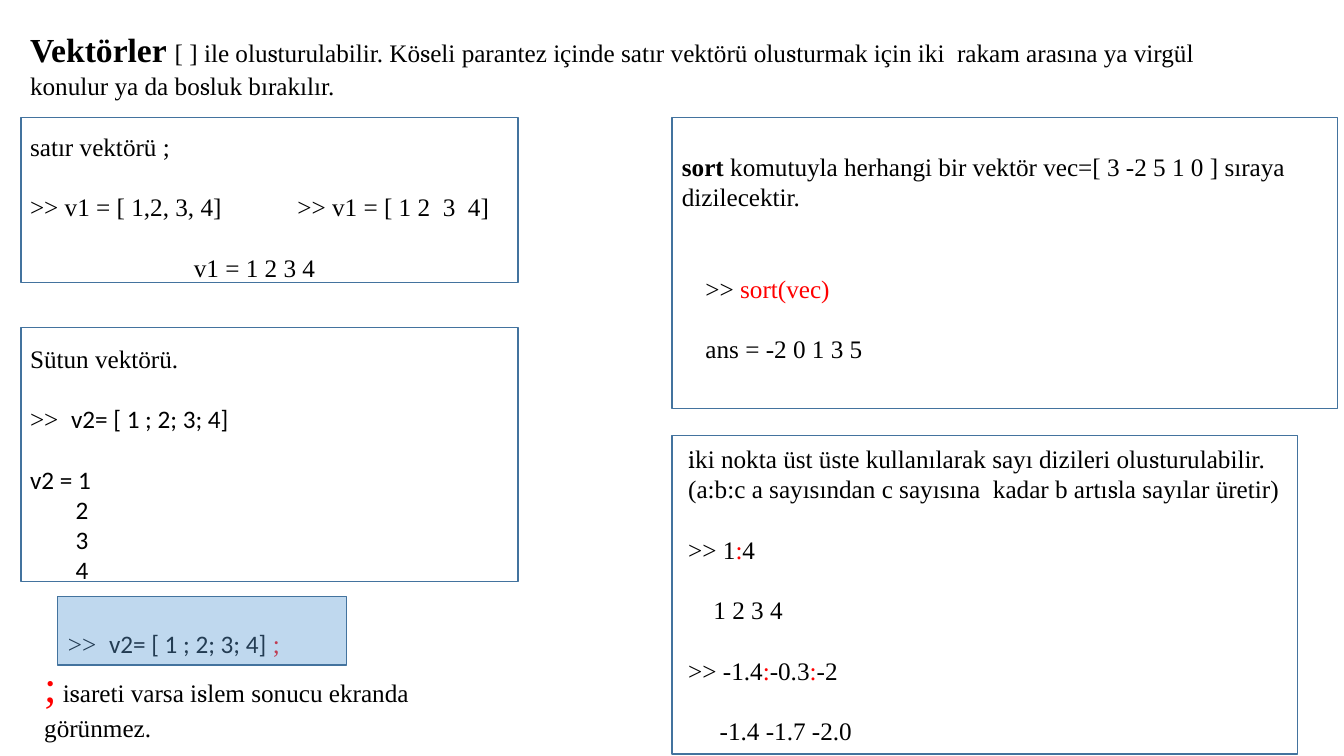
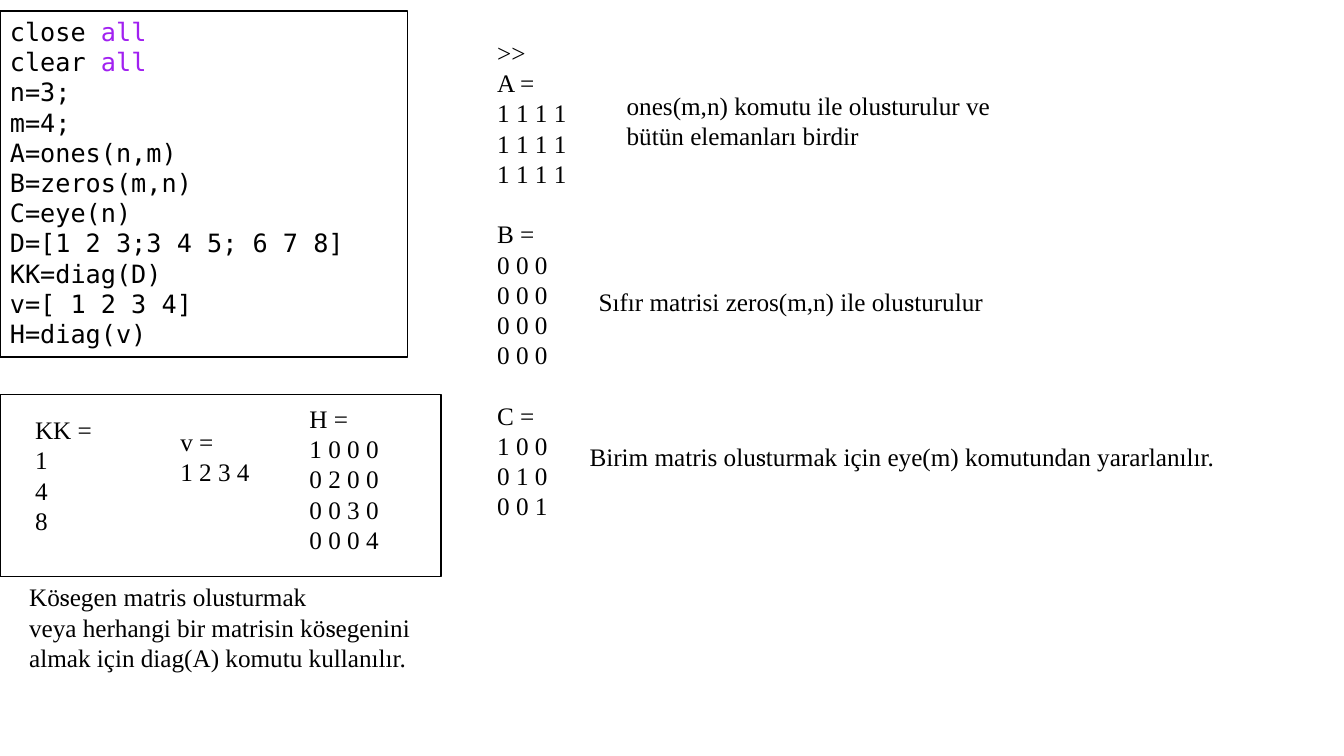
from collections import namedtuple

from lxml.etree import SubElement
from pptx import Presentation
from pptx.dml.color import RGBColor
from pptx.enum.shapes import MSO_SHAPE as Shape
from pptx.enum.text import MSO_ANCHOR as Anchor, PP_ALIGN as Align
from pptx.oxml.ns import qn
from pptx.util import Pt

SERIF, MONO = "Times New Roman", "DejaVu Sans Mono"
BLACK, WHITE, RED, PURPLE = "000000", "FFFFFF", "FF0000", "A120F1"
BLUE, STEEL = "5B9BD5", "43739E"
SIZE = 18
LINE = 21.6
GAP = LINE

# Marked spans are written |key:text| and take these settings.
STYLES = {
    "t": {"bold": True, "size": 24},
    "b": {"bold": True},
    "c": {"name": "Cambria"},
    "f": {"name": "Calibri"},
    "r": {"color": RED},
    "R": {"color": RED, "size": 32},
    "p": {"color": PURPLE},
}

Line = namedtuple("Line", "text gap indent pitch tab", defaults=(0, 0, LINE, None))
Text = namedtuple("Text", "left top width height lines")
Frame = namedtuple("Frame", "left top width height line fill alpha lines font",
                   defaults=(STEEL, None, None, (), SERIF))

VECTORS = [
    Text(14.4, 22.6, 895, 466, [
        Line("|t:Vektörler |[ ] ile olu|c:s|turulabilir. Kö|c:s|eli parantez içinde satır "
             "vektörü olu|c:s|turmak için iki  rakam arasına ya virgül konulur ya da "
             "bo|c:s|luk bırakılır.", pitch=23),
        Line("satır vektörü ;", GAP),
        Line(">> v1 = [ 1,2, 3, 4]\t>> v1 = [ 1 2  3  4]", GAP, tab=191),
        Line("v1 = 1 2 3 4", GAP, 117),
        Line("Sütun vektörü.", 2 * GAP),
        Line(">>  |f:v2= [ 1 ; 2; 3; 4]|", GAP),
        Line("|f:v2 = 1|", GAP),
        *[Line(f"|f:{value}|", indent=32.5) for value in (2, 3, 4)],
    ]),
    Frame(15, 84, 355, 118),
    Frame(15, 234, 355, 181.5),
    Text(480, 104.4, 480, 51, [
        "|b:sort |komutuyla herhangi bir vektör vec=[ 3 -2 5 1 0 ] sıraya dizilecektir.",
    ]),
    Text(496.8, 191.5, 176, 73, [
        ">> |r:sort(vec)|",
        Line("ans = -2 0 1 3 5", GAP),
    ]),
    Frame(480, 84, 475.5, 208),
    Text(484.5, 313.2, 480, 225, [
        "|c:i|ki nokta üst üste kullanılarak sayı dizileri olu|c:s|turulabilir.",
        "(a:b:c a sayısından c sayısına  kadar b artı|c:s|la sayılar üretir)",
        Line(">> 1|r::|4", GAP),
        Line("1 2 3 4", GAP, 18),
        Line(">> -1.4|r::|-0.3|r::|-2", GAP),
        Line("-1.4 -1.7 -2.0", GAP, 22.5),
    ]),
    Frame(480, 311, 447, 227.5),
    Text(41.5, 445, 188, 73, [">>  |f:v2= [ 1 ; 2; 3; 4]||r: ;|"]),
    Frame(41, 426, 206.5, 49, fill=BLUE, alpha=39),
    Text(24.5, 466.5, 480, 68, [
        Line("|R:;| i|c:s|areti varsa i|c:s|lem sonucu ekranda", pitch=38.4),
        "görünmez.",
    ]),
]

MATRICES = [
    Frame(0, 8, 291, 247, BLACK, WHITE, font=MONO, lines=[
        "close |p:all|", "clear |p:all|", "n=3;", "m=4;", "A=ones(n,m)", "B=zeros(m,n)",
        "C=eye(n)", "D=[1 2 3;3 4 5; 6 7 8]", "KK=diag(D)", "v=[ 1 2 3 4]", "H=diag(v)",
    ]),
    Text(348, 23, 132, 356, [
        ">>",
        "A =", *["1 1 1 1"] * 3,
        Line("B =", GAP), *["0 0 0"] * 4,
        Line("C =", GAP), "1 0 0", "0 1 0", "0 0 1",
    ]),
    Text(414, 312, 467, 29, [
        "Birim matris olu|c:s|turmak için eye(m) komutundan yararlanılır.",
    ]),
    Text(420.5, 201, 294, 29, ["Sıfır matrisi zeros(m,n) ile olu|c:s|turulur"]),
    Text(440.5, 61, 287, 51, [
        "ones(m,n) komutu ile olu|c:s|turulur ve",
        "bütün elemanları birdir",
    ]),
    Text(18, 292.5, 66, 94, ["KK =", "1", "4", "8"]),
    Text(121.7, 301, 79, 51, ["v =", "1 2 3 4"]),
    Text(214, 284.5, 88, 117, ["H =", "1 0 0 0", "0 2 0 0", "0 0 3 0", "0 0 0 4"]),
    Text(13.7, 412, 287, 94, [
        "Kö|c:s|egen matris olu|c:s|turmak",
        "veya herhangi bir matrisin kö|c:s|egenini almak için diag(A) komutu kullanılır.",
    ]),
    Frame(0, 282, 315, 130, BLACK),
]


def rgb(value):
    return RGBColor.from_string(value)


def add_spans(para, marked_text):
    """Turn the marked text into runs; every second piece is a styled one."""
    for index, piece in enumerate(marked_text.split("|")):
        key, _, text = piece.partition(":") if index % 2 else ("", "", piece)
        if not text:
            continue
        style = STYLES.get(key, {})
        span = para.add_run()
        span.text = text
        if "name" in style:
            span.font.name = style["name"]
        if "size" in style:
            span.font.size = Pt(style["size"])
        if "bold" in style:
            span.font.bold = style["bold"]
        if "color" in style:
            span.font.color.rgb = rgb(style["color"])


def write_lines(frame, lines, font=SERIF):
    frame.word_wrap = True
    frame.vertical_anchor = Anchor.TOP
    for index, entry in enumerate(lines):
        line = Line(entry) if isinstance(entry, str) else entry
        para = frame.add_paragraph() if index else frame.paragraphs[0]
        para.alignment = Align.LEFT
        para.line_spacing = Pt(line.pitch)
        para.space_before = Pt(line.gap)
        para.font.name = font
        para.font.size = Pt(SIZE)
        para.font.color.rgb = rgb(BLACK)
        properties = para._p.get_or_add_pPr()
        if line.indent:
            properties.set("marL", str(Pt(line.indent)))
        if line.tab:
            stops = properties.makeelement(qn("a:tabLst"))
            SubElement(stops, qn("a:tab"), pos=str(Pt(line.tab)), algn="l")
            properties.find(qn("a:defRPr")).addprevious(stops)
        add_spans(para, line.text)


def add_frame(slide, item, place):
    box = slide.shapes.add_shape(Shape.RECTANGLE, *place)
    box.shadow.inherit = False
    box.line.color.rgb = rgb(item.line)
    box.line.width = Pt(1)
    if item.fill:
        box.fill.solid()
        box.fill.fore_color.rgb = rgb(item.fill)
    else:
        box.fill.background()
    if item.alpha:
        color = box._element.spPr.find(qn("a:solidFill"))[0]
        SubElement(color, qn("a:alpha"), val=str(item.alpha * 1000))
    write_lines(box.text_frame, item.lines, item.font)


def main():
    deck = Presentation()
    deck.slide_width, deck.slide_height = Pt(960), Pt(540)
    for items in (VECTORS, MATRICES):
        slide = deck.slides.add_slide(deck.slide_layouts[6])
        for item in items:
            place = [Pt(length) for length in item[:4]]
            if isinstance(item, Frame):
                add_frame(slide, item, place)
            else:
                write_lines(slide.shapes.add_textbox(*place).text_frame, item.lines)
    deck.save("out.pptx")


if __name__ == "__main__":
    main()
